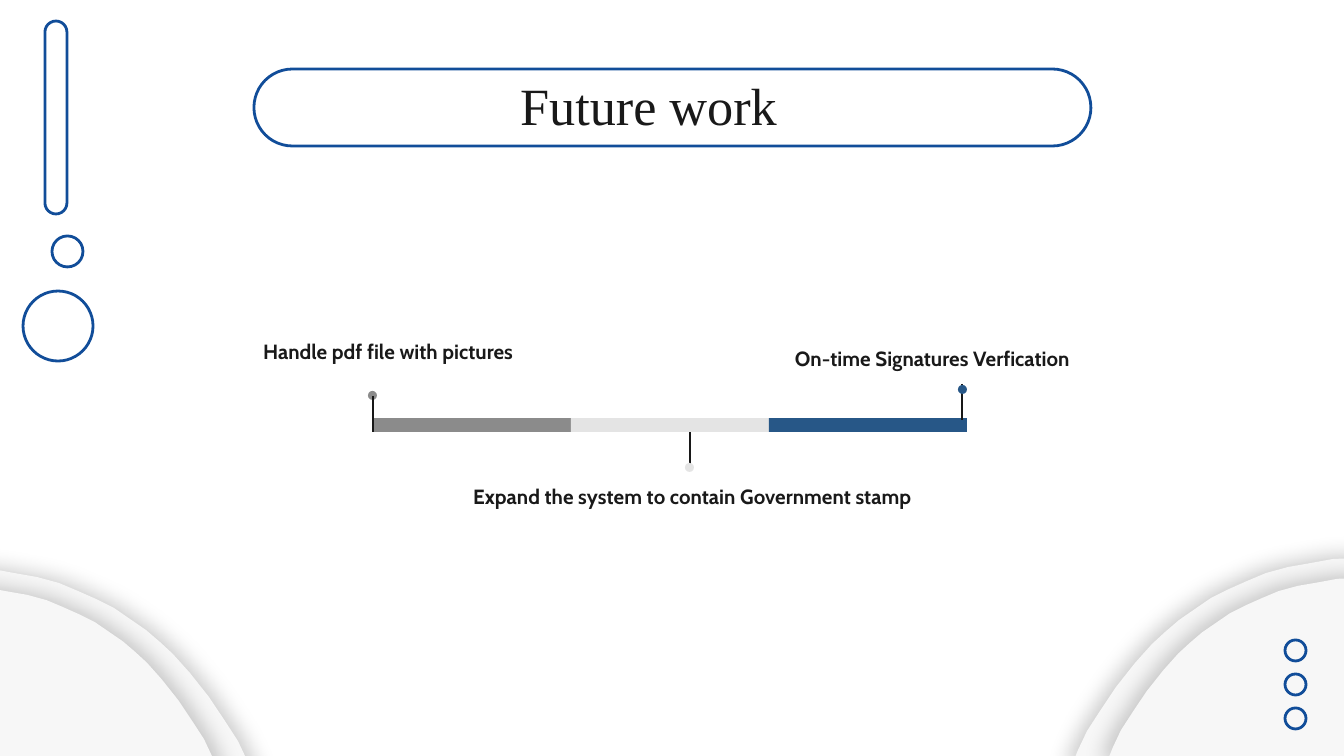
from lxml import etree
from pptx import Presentation
from pptx import util as u
from pptx.dml import color
from pptx.enum import shapes, text
from pptx.oxml import ns

PX = 914400 / 134.4
INK, BLUE, PALE = "191919", "114D99", "F7F7F7"


def rgb(value):
    return color.RGBColor.from_string(value)


def add_shape(kind, *bounds, fill=None, line=None):
    shape = page.shapes.add_shape(kind, *[round(n * PX) for n in bounds])
    shape.shadow.inherit = False
    if fill:
        shape.fill.solid()
        shape.fill.fore_color.rgb = rgb(fill)
    else:
        shape.fill.background()
    if line:
        shape.line.color.rgb = rgb(line)
        shape.line.width = u.Pt(1.5)
    else:
        shape.line.fill.background()
    return shape


deck = Presentation()
deck.slide_width, deck.slide_height = round(1344 * PX), round(756 * PX)
page = deck.slides.add_slide(deck.slide_layouts[5])
ROUND, OVAL, RECT = (
    shapes.MSO_SHAPE.ROUNDED_RECTANGLE,
    shapes.MSO_SHAPE.OVAL,
    shapes.MSO_SHAPE.RECTANGLE,
)

hill = [
    (486, 228), (0, 212), (8, 192), (17, 173), (30, 153), (46, 129),
    (65, 105), (82, 86), (95, 74), (109, 62), (125, 51), (141, 40),
    (159, 31), (177, 23), (196, 15), (218, 9), (241, 5), (263, 1),
    (289, 0), (316, 1), (343, 4), (372, 8), (403, 16), (435, 26),
    (469, 38), (486, 46),
]
for left, top, side, size, angle in [
    (1070, 558, 1, 1, 212),
    (1106, 578, 1, 0.88, 212),
    (255, 568, -1, 1, 348),
    (219, 587, -1, 0.88, 348),
]:
    points = [(round((left + side * size * x) * PX), round((top + size * y) * PX)) for x, y in hill]
    builder = page.shapes.build_freeform(*points[0], scale=1.0)
    builder.add_line_segments(points[1:], close=True)
    corner = builder.convert_to_shape()
    corner.fill.solid()
    corner.fill.fore_color.rgb = rgb(PALE)
    corner.line.fill.background()
    corner.shadow.inherit = False
    effects = corner._element.spPr.find(ns.qn("a:effectLst"))
    shadow = etree.SubElement(
        effects, ns.qn("a:outerShdw"), blurRad=str(u.Pt(11.2)), dist=str(u.Pt(3.8)),
        dir=str(angle * 60000), algn="ctr", rotWithShape="0",
    )
    tint = etree.SubElement(shadow, ns.qn("a:srgbClr"), val="000000")
    etree.SubElement(tint, ns.qn("a:alpha"), val="20000")

for bounds in [(254, 69, 837, 77), (45, 21, 22, 193)]:
    pill = add_shape(ROUND, *bounds, line=BLUE)
    pill.adjustments[0] = 0.5

circles = [(23, 291, 70), (52, 236, 31)] + [(1285, 640 + 34 * n, 21) for n in range(3)]
for left, top, size in circles:
    add_shape(OVAL, left, top, size, size, line=BLUE)

for index, (fill, alpha, stem_x, start, end, dot_x, dot_y) in enumerate([
    (INK, 50, 373, 396, 432, 368, 391),
    ("E4E4E4", 100, 690, 468, 432, 685, 463),
    ("275787", 100, 962, 384, 420, 958, 385),
]):
    bar = add_shape(RECT, 373 + 198 * index, 418, 198, 14, fill=fill)
    stem = page.shapes.add_connector(
        shapes.MSO_CONNECTOR.STRAIGHT, *[round(n * PX) for n in (stem_x, start, stem_x, end)]
    )
    stem.line.color.rgb = rgb("181818")
    stem.line.width = u.Pt(0.75)
    etree.SubElement(stem._element.spPr, ns.qn("a:effectLst"))
    dot = add_shape(OVAL, dot_x, dot_y, 9, 9, fill=fill)
    if alpha < 100:
        for shape in (bar, dot):
            tint = shape._element.spPr.find(ns.qn("a:solidFill"))[0]
            etree.SubElement(tint, ns.qn("a:alpha"), val=str(alpha * 1000))

CENTER, LEFT = text.PP_ALIGN.CENTER, text.PP_ALIGN.LEFT
TOP, MIDDLE = text.MSO_ANCHOR.TOP, text.MSO_ANCHOR.MIDDLE
for box, words, bounds, align, anchor, font, size in [
    (page.shapes.title, "Future work", (82, 60, 1133, 85), CENTER, TOP, "Times New Roman", 28),
    (None, "Handle pdf file with pictures", (250, 324, 351, 54), LEFT, MIDDLE, "Cabin", 11),
    (None, "Expand the system to contain Government stamp", (388, 450, 609, 93), CENTER, MIDDLE, "Cabin", 11),
    (None, "On-time Signatures Verfication", (782, 331, 449, 54), LEFT, MIDDLE, "Cabin", 11),
]:
    box = box or page.shapes.add_textbox(0, 0, 0, 0)
    box.left, box.top, box.width, box.height = [round(n * PX) for n in bounds]
    frame = box.text_frame
    frame.text = words
    frame.word_wrap = True
    frame.auto_size = text.MSO_AUTO_SIZE.NONE
    frame.vertical_anchor = anchor
    frame.margin_left = frame.margin_right = frame.margin_top = frame.margin_bottom = round(13 * PX)
    para = frame.paragraphs[0]
    para.alignment = align
    span = para.runs[0]
    span.font.name = font
    span.font.size = u.Pt(size)
    span.font.bold = font == "Cabin"
    span.font.color.rgb = rgb(INK)

deck.save("out.pptx")
